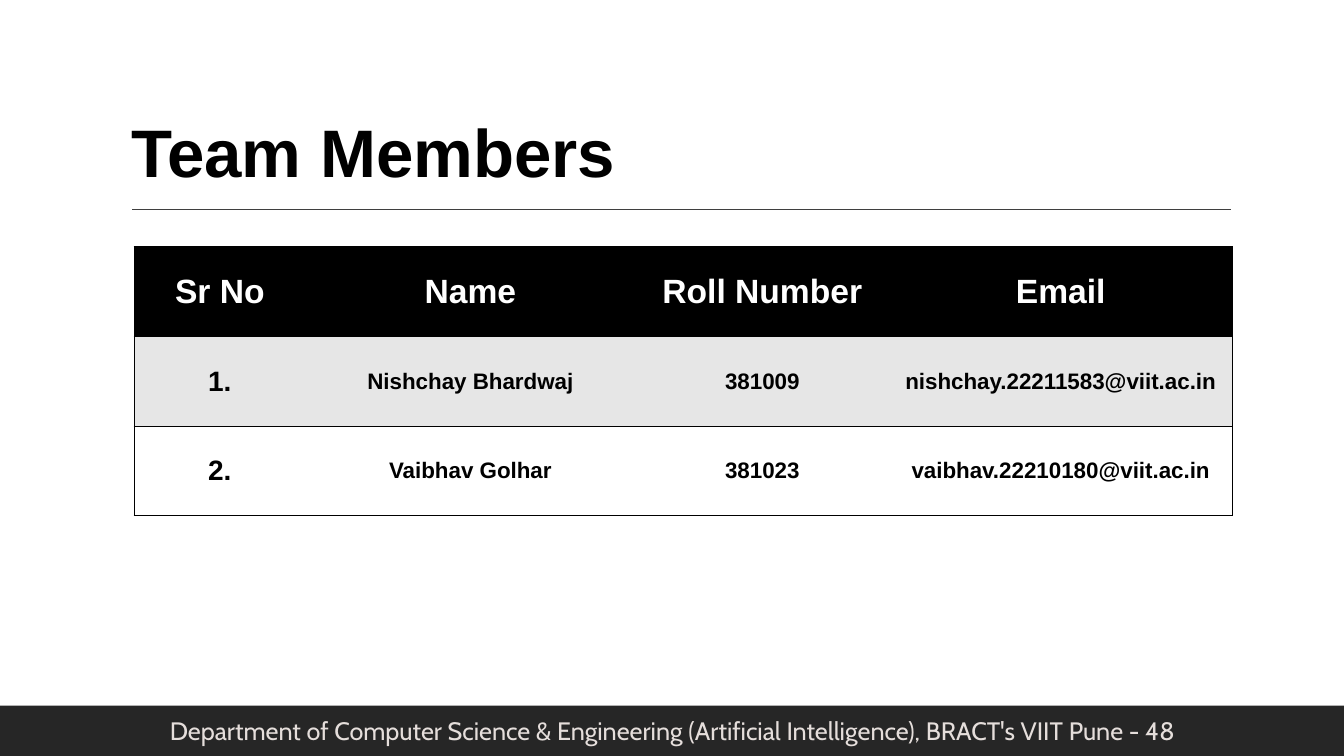
from lxml import etree
from pptx import Presentation
from pptx.dml.color import RGBColor
from pptx.enum.shapes import MSO_CONNECTOR as Connector, MSO_SHAPE as Shape
from pptx.enum.text import MSO_ANCHOR as Anchor, MSO_AUTO_SIZE as AutoSize, PP_ALIGN as Align
from pptx.oxml import parse_xml
from pptx.oxml.ns import nsdecls, qn
from pptx.util import Cm, Pt

BLACK, WHITE, STRIPE = "000000", "FFFFFF", "E6E6E6"
HEADINGS = ["Sr No", "Name", "Roll Number", "Email"]
MEMBERS = [
    ["1.", "Nishchay Bhardwaj", "381009", "nishchay.22211583@viit.ac.in"],
    ["2.", "Vaibhav Golhar", "381023", "vaibhav.22210180@viit.ac.in"],
]
COLUMN_WIDTHS = [4.32, 8.31, 6.4, 8.64]
ROW_HEIGHT = 2.26
DEPARTMENT = ("Department of Computer Science & Engineering "
              "(Artificial Intelligence), BRACT's VIIT Pune - 48")


def color(value):
    return RGBColor.from_string(value)


def write(frame, text, size, ink, align, font="Arial", bold=True):
    paragraph = frame.paragraphs[0]
    paragraph.alignment = align
    run = paragraph.add_run()
    run.text = text
    run.font.name, run.font.size, run.font.bold = font, Pt(size), bold
    run.font.color.rgb = color(ink)
    return paragraph


def set_borders(cell, drawn):
    """Draw a black 1 pt line on the sides in drawn (of L, R, T, B) and none on the rest."""
    properties = cell._tc.get_or_add_tcPr()
    for position, side in enumerate("LRTB"):
        paint = (f'<a:solidFill><a:srgbClr val="{BLACK}"/></a:solidFill>'
                 if side in drawn else "<a:noFill/>")
        line = parse_xml(f'<a:ln{side} {nsdecls("a")} w="{Pt(1)}">{paint}</a:ln{side}>')
        properties.insert(position, line)


def add_heading(slide, left, top, width, height):
    title = slide.shapes.title
    title.left, title.top, title.width, title.height = map(Cm, (left, top, width, height))
    frame = title.text_frame
    frame.auto_size, frame.vertical_anchor = AutoSize.NONE, Anchor.BOTTOM
    write(frame, "Team Members", 48, BLACK, Align.LEFT).line_spacing = 0.96

    rule_left, rule_y = left + 0.28, top + 2.71
    rule = slide.shapes.add_connector(
        Connector.STRAIGHT, Cm(rule_left), Cm(rule_y), Cm(rule_left + 27.68), Cm(rule_y))
    rule.line.color.rgb, rule.line.width = color("3F3F3F"), Pt(1)
    etree.SubElement(rule._element.spPr, qn("a:effectLst"))


def add_member_table(slide, left, top):
    rows = [HEADINGS] + MEMBERS
    members = slide.shapes.add_table(
        len(rows), len(HEADINGS), Cm(left), Cm(top),
        Cm(sum(COLUMN_WIDTHS)), Cm(ROW_HEIGHT * len(rows))).table
    for column, width in zip(members.columns, COLUMN_WIDTHS):
        column.width = Cm(width)
    last = len(HEADINGS) - 1
    for r, (values, fill) in enumerate(zip(rows, [BLACK, STRIPE, WHITE])):
        members.rows[r].height = Cm(ROW_HEIGHT)
        for c, value in enumerate(values):
            cell = members.cell(r, c)
            cell.vertical_anchor = Anchor.MIDDLE
            cell.fill.solid()
            cell.fill.fore_color.rgb = color(fill)
            set_borders(cell, "TB" + ("L" if c == 0 else "") + ("R" if c == last else ""))
            size = 24 if r == 0 else 20 if c == 0 else 16
            write(cell.text_frame, value, size, WHITE if r == 0 else BLACK, Align.CENTER)


def add_footer(slide, left, top, width, height):
    band = slide.shapes.add_shape(Shape.RECTANGLE, Cm(left), Cm(top), Cm(width), Cm(height))
    band.shadow.inherit = False
    band.fill.solid()
    band.fill.fore_color.rgb = color("262626")
    band.line.fill.background()

    department = slide.shapes.add_textbox(
        Cm(left + 0.46), Cm(top + 0.13), Cm(width - 0.9), Cm(1.02))
    frame = department.text_frame
    frame.word_wrap, frame.auto_size = True, AutoSize.SHAPE_TO_FIT_TEXT
    write(frame, DEPARTMENT, 18, "E5DEDB", Align.CENTER, "Cabin", False)


def main():
    deck = Presentation()
    deck.slide_width, deck.slide_height = Cm(33.87), Cm(19.05)
    slide = deck.slides.add_slide(deck.slide_layouts[5])
    add_heading(slide, 3.05, 2.57, 26.39, 2.41)
    add_member_table(slide, 3.38, 6.22)
    add_footer(slide, 0, 17.78, 33.87, 1.27)
    deck.save("out.pptx")


if __name__ == "__main__":
    main()
